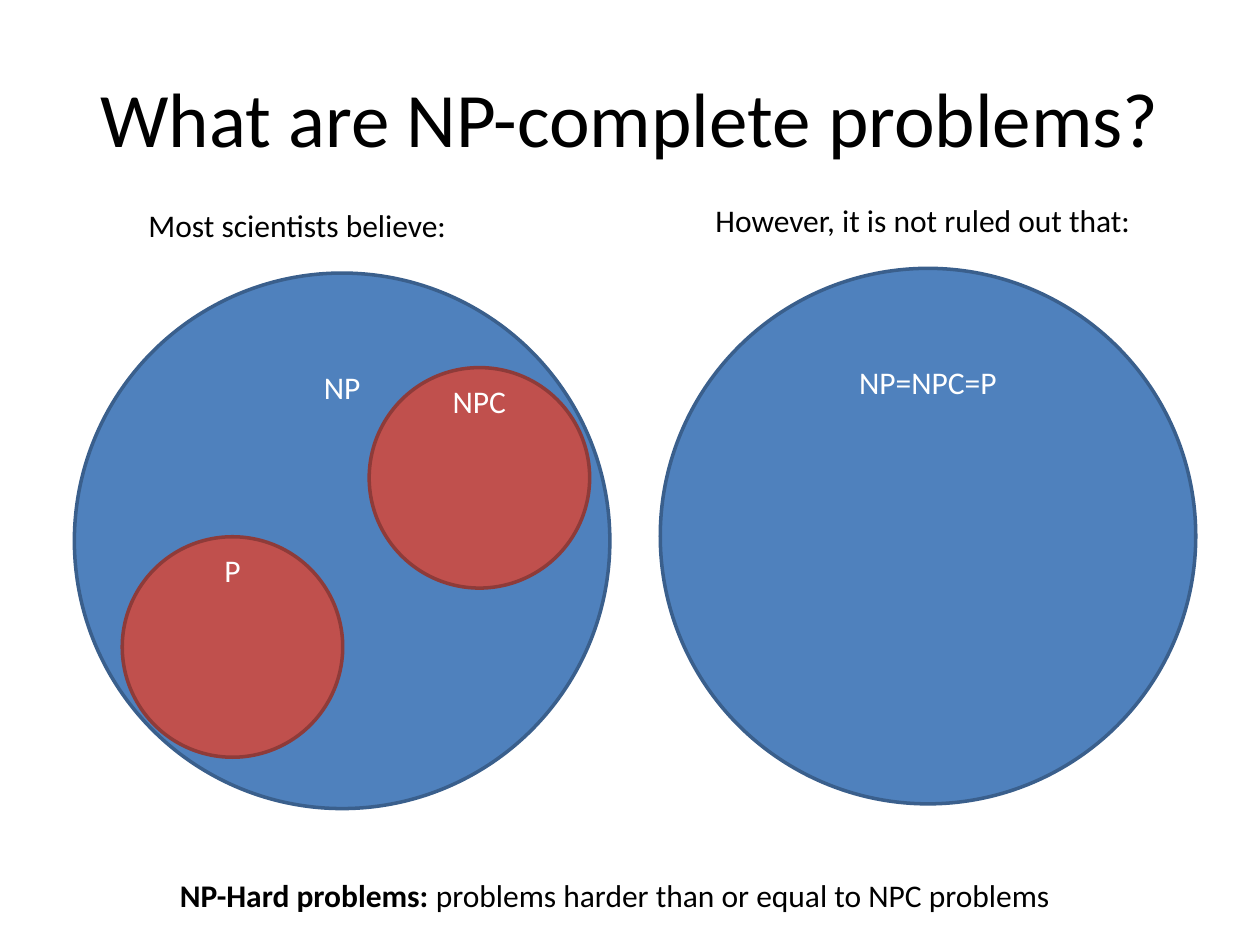
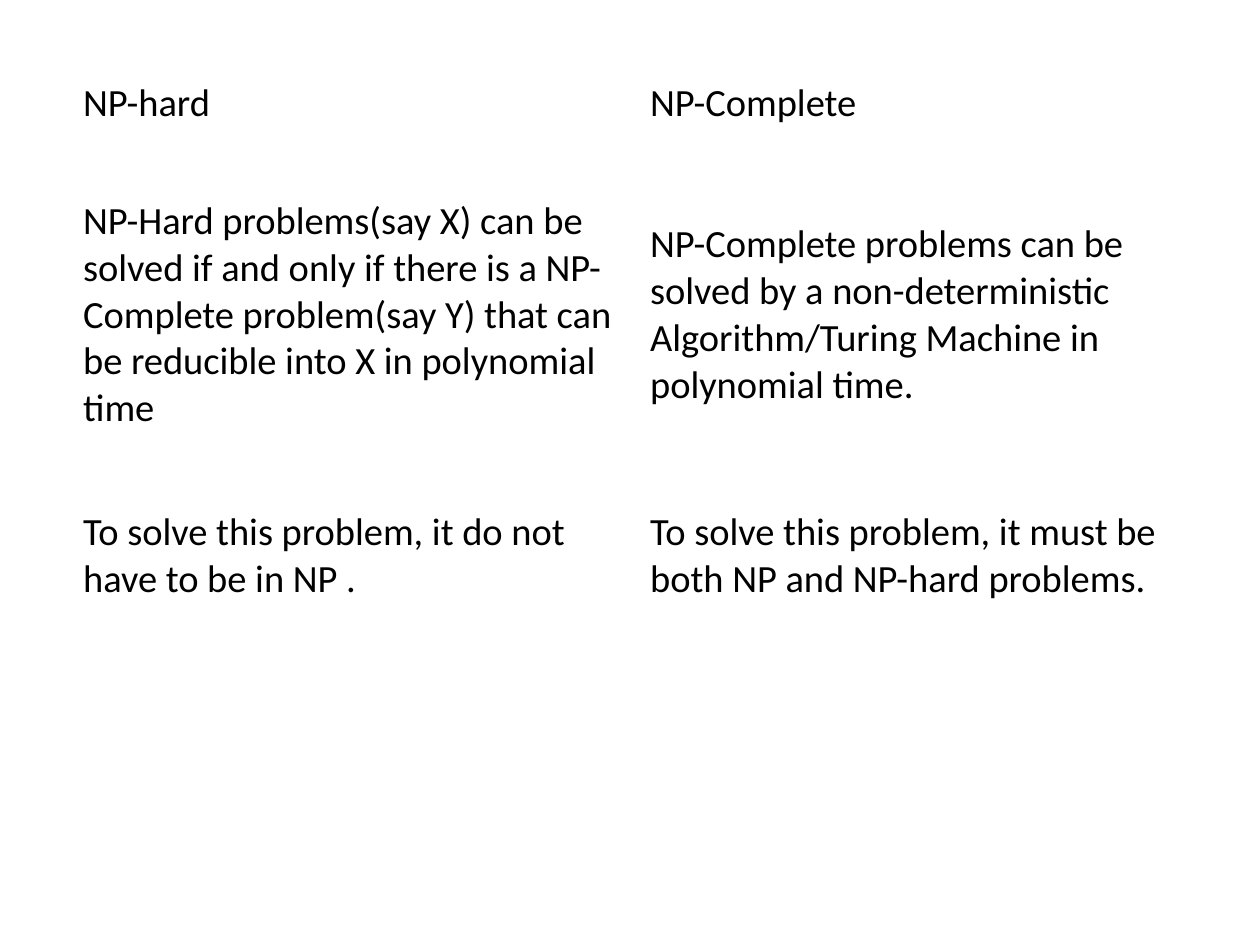
from pptx import Presentation
from pptx.dml.color import RGBColor
from pptx.enum.shapes import MSO_SHAPE as Shape
from pptx.enum.text import MSO_ANCHOR as Anchor, PP_ALIGN as Align
from pptx.util import Inches, Pt

FONT = "Calibri"
BLACK, WHITE = "000000", "FFFFFF"
BLUE, DARK_BLUE = "4F81BD", "3A5F8C"
RED, DARK_RED = "C0504D", "8E3B39"

deck = Presentation()
deck.slide_width, deck.slide_height = Inches(10), Inches(7.5)
X, Y = deck.slide_width / 100, deck.slide_height / 100  # one percent of the slide
BLANK = deck.slide_layouts[6]


def paint(color_format, color):
    """Apply a hex colour to a fill, line fill or font fill."""
    color_format.solid()
    color_format.fore_color.rgb = RGBColor.from_string(color)


def write(frame, text, size=18, color=BLACK, align=Align.LEFT, lead=""):
    """Fill a text frame; lead is a bold opening before the text."""
    frame.word_wrap = True
    paragraph = frame.paragraphs[0]
    paragraph.alignment = align
    for words, bold in ((lead, True), (text, False)):
        if words:
            run = paragraph.add_run()
            run.text = words
            run.font.name, run.font.size, run.font.bold = FONT, Pt(size), bold
            paint(run.font.fill, color)


# Slide 1: how the classes may relate
diagram = deck.slides.add_slide(BLANK)

title = diagram.shapes.add_textbox(int(5 * X), int(4 * Y), int(90 * X), int(16.67 * Y))
title.text_frame.vertical_anchor = Anchor.MIDDLE
write(title.text_frame, "What are NP-complete problems?", size=44, align=Align.CENTER)

BIG, SMALL = 42.5, 17.5  # diameters, percent of slide width
BIG_DROP, SMALL_DROP = 10, 1.5  # label below circle top, percent of slide height
problem_classes = [
    ("NP", 5.9, 28.9, BIG, BIG_DROP, BLUE, DARK_BLUE),
    ("P", 9.7, 56.8, SMALL, SMALL_DROP, RED, DARK_RED),
    ("NPC", 29.3, 38.9, SMALL, SMALL_DROP, RED, DARK_RED),
    ("NP=NPC=P", 52.4, 28.4, BIG, BIG_DROP, BLUE, DARK_BLUE),
]
for name, left, top, diameter, drop, fill, outline in problem_classes:
    side = int(diameter * X)
    circle = diagram.shapes.add_shape(Shape.OVAL, int(left * X), int(top * Y), side, side)
    circle.shadow.inherit = False
    paint(circle.fill, fill)
    paint(circle.line.fill, outline)
    circle.line.width = Pt(2)
    label = diagram.shapes.add_textbox(int(left * X), int((top + drop) * Y), side, int(4 * Y))
    label.text_frame.margin_top = label.text_frame.margin_bottom = 0
    write(label.text_frame, name, color=WHITE, align=Align.CENTER)

captions = [
    ("", "Most scientists believe:", 10.8, 21.1, 28.3),
    ("", "However, it is not ruled out that:", 55.8, 20.6, 37.5),
    ("NP-Hard problems: ", "problems harder than or equal to NPC problems", 13.3, 92, 74.2),
]
for lead, text, left, top, width in captions:
    caption = diagram.shapes.add_textbox(int(left * X), int(top * Y), int(width * X), int(5.33 * Y))
    write(caption.text_frame, text, lead=lead)

# Slide 2: NP-hard against NP-complete
comparison = deck.slides.add_slide(BLANK)
comparison_rows = [
    ("NP-hard", "NP-Complete"),
    ("NP-Hard problems(say X) can be solved if and only if there is a NP-Complete "
     "problem(say Y) that can be reducible into X in polynomial time",
     "NP-Complete problems can be solved by a non-deterministic "
     "Algorithm/Turing Machine in polynomial time."),
    ("To solve this problem, it do not have to be in NP .",
     "To solve this problem, it must be both NP and NP-hard problems."),
    ("", ""),
    ("", ""),
]
row_heights = [0.56, 2.8, 1.02, 0.56, 0.56]

table = comparison.shapes.add_table(
    len(comparison_rows), 2, int(5.8 * X), int(7.2 * Y), int(90 * X), Inches(sum(row_heights))
).table
table.first_row = table.horz_banding = False
for index, (texts, height) in enumerate(zip(comparison_rows, row_heights)):
    table.rows[index].height = Inches(height)
    for cell, text in zip(table.rows[index].cells, texts):
        paint(cell.fill, WHITE)
        cell.vertical_anchor = Anchor.MIDDLE
        cell.margin_left = cell.margin_right = Inches(0.08)
        cell.margin_top = cell.margin_bottom = Inches(0.12 if index in (1, 2) else 0.08)
        write(cell.text_frame, text, size=22)

deck.save("out.pptx")
